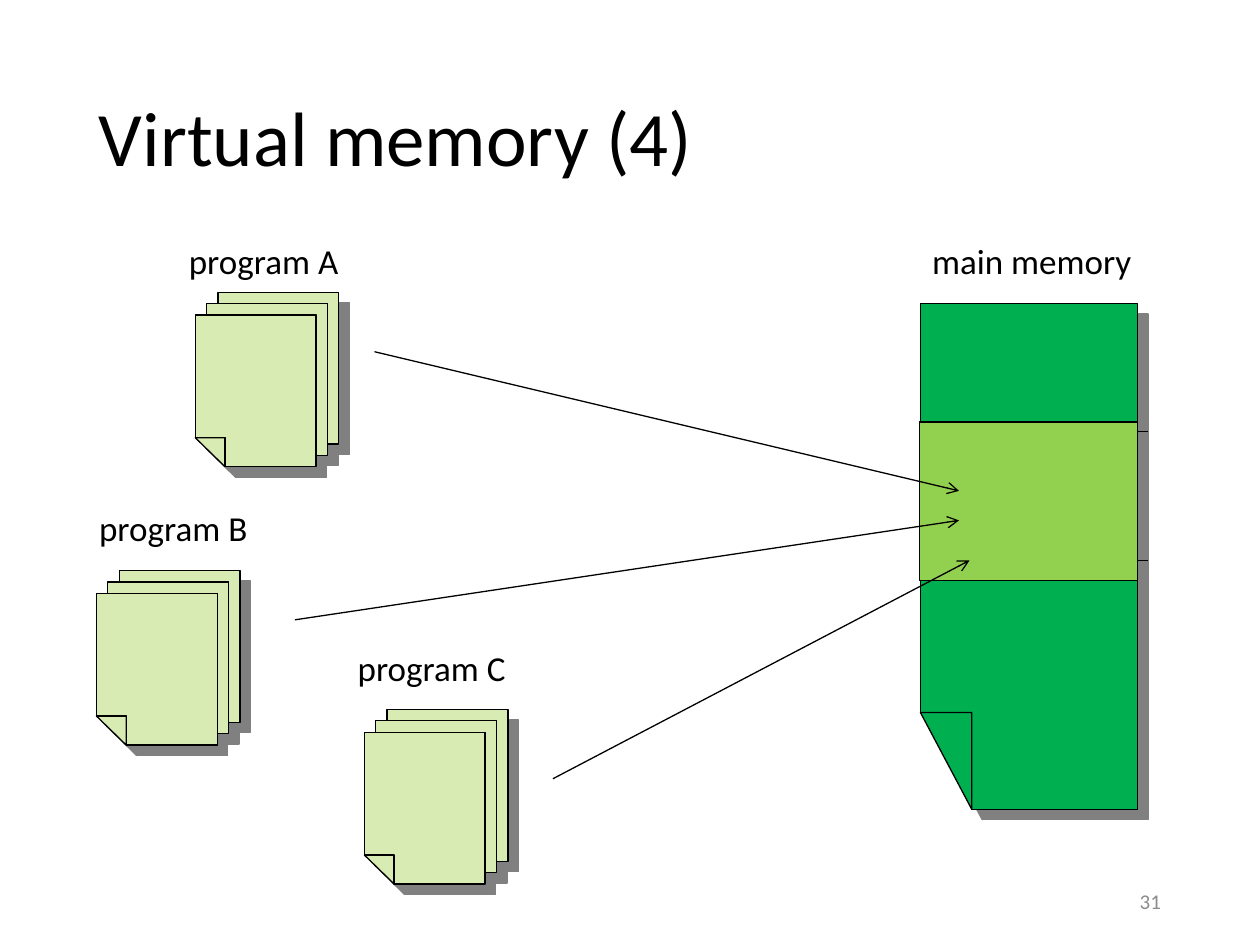
"""Build the slide on virtual memory shared by three programs."""
from lxml import etree
from pptx import Presentation
from pptx.dml.color import RGBColor
from pptx.enum import shapes, text
from pptx.oxml import ns
from pptx.util import Pt

BLACK = RGBColor(0, 0, 0)
GRAY = RGBColor(0x8C, 0x8C, 0x8C)
PAGE_GREEN = RGBColor(0xD8, 0xEB, 0xB3)
MEMORY_GREEN = RGBColor(0x00, 0xB0, 0x50)
SHARED_GREEN = RGBColor(0x92, 0xD0, 0x50)
SHADOW = "808080"
FONT = "Calibri"
SHADOW_DISTANCE = 8.5

TITLE = ("Virtual memory (4)", (49.5, 28.8, 621, 104.4))
PAGE_NUMBER = ("31", (508.5, 500.4, 162, 28.8))
LABELS = [
    ("program A", (100.8, 133.2, 107.3, 31.7)),
    ("program B", (49.5, 285.8, 108.7, 31.7)),
    ("program C", (197.3, 365.8, 109.4, 31.7)),
    ("main memory", (525.6, 133.2, 136.8, 31.7)),
]
STACKS = [(111.6, 167), (55.1, 326), (208.2, 405.4)]
MEMORY = (526, 173.4)
MEMORY_SIZE, MEMORY_FOLD = (124, 289), (29.3, 55.2)
SHEET_SIZE, SHEET_FOLD, SHEET_STEP = (69, 86.7), (17, 16.5), 6.5
SHARED_AREA = (525.6, 241.2, 124.6, 90.7)
DIVIDERS = [246.5, 320.3]
ARROWS = [
    ((214, 201), (548, 280.5)),
    ((168.5, 354.2), (548, 297.4)),
    ((316, 445), (554, 320.3)),
]


def folded_sheet(left, top, size, fold):
    """Return the outlines of a sheet and its folded lower left corner."""
    right, bottom = left + size[0], top + size[1]
    fold_right, fold_top = left + fold[0], bottom - fold[1]
    corner = [(left, fold_top), (fold_right, fold_top), (fold_right, bottom)]
    return [[(left, top), (right, top), (right, bottom)] + corner[::-1], corner]


def sheet_edge(left, top):
    """Return the visible edge of a sheet that lies behind another one."""
    (width, height), step = SHEET_SIZE, SHEET_STEP
    right, bottom = left + width, top + height
    return [(left, top), (right, top), (right, bottom), (right - step, bottom),
            (right - step, top + step), (left, top + step)]


def page_stack(left, top):
    """Return the outlines of three stacked sheets."""
    step = SHEET_STEP
    edges = [sheet_edge(left + 2 * step, top), sheet_edge(left + step, top + step)]
    return edges + folded_sheet(left, top + 2 * step, SHEET_SIZE, SHEET_FOLD)


def style_shape(shape, color):
    shape.fill.solid()
    shape.fill.fore_color.rgb = color
    style_line(shape)
    shape.shadow.inherit = False


def style_line(shape):
    shape.line.color.rgb = BLACK
    shape.line.width = Pt(0.75)


def add_outlines(slide, outlines, color):
    builder = None
    for outline in outlines:
        start, *others = [(Pt(x), Pt(y)) for x, y in outline]
        if builder is None:
            builder = slide.shapes.build_freeform(*start)
        else:
            builder.move_to(*start)
        builder.add_line_segments(others, close=True)
    shape = builder.convert_to_shape()
    style_shape(shape, color)
    effects = shape._element.spPr.find(ns.qn("a:effectLst"))
    shadow = etree.SubElement(effects, ns.qn("a:outerShdw"), blurRad="0",
                              dist=str(Pt(SHADOW_DISTANCE)), dir="2700000",
                              algn="ctr", rotWithShape="0")
    etree.SubElement(shadow, ns.qn("a:srgbClr"), val=SHADOW)


def add_line(slide, start, end, arrow=False):
    points = [Pt(value) for value in (*start, *end)]
    line = slide.shapes.add_connector(shapes.MSO_CONNECTOR.STRAIGHT, *points)
    style_line(line)
    properties = line._element.spPr
    if arrow:
        etree.SubElement(properties.find(ns.qn("a:ln")), ns.qn("a:tailEnd"), type="arrow")
    etree.SubElement(properties, ns.qn("a:effectLst"))


def add_text(slide, content, box, size, color=BLACK, wrap=True):
    frame = slide.shapes.add_textbox(*[Pt(value) for value in box]).text_frame
    frame.word_wrap = wrap
    frame.vertical_anchor = text.MSO_ANCHOR.MIDDLE if wrap else text.MSO_ANCHOR.TOP
    frame.auto_size = text.MSO_AUTO_SIZE.NONE if wrap else text.MSO_AUTO_SIZE.SHAPE_TO_FIT_TEXT
    paragraph = frame.paragraphs[0]
    paragraph.text = content
    paragraph.font.name = FONT
    paragraph.font.size = Pt(size)
    paragraph.font.color.rgb = color
    return paragraph


def main():
    presentation = Presentation()
    presentation.slide_width, presentation.slide_height = Pt(720), Pt(540)
    slide = presentation.slides.add_slide(presentation.slide_layouts[6])

    add_text(slide, *TITLE, 44).line_spacing = 0.9
    for position in STACKS:
        add_outlines(slide, page_stack(*position), PAGE_GREEN)
    add_outlines(slide, folded_sheet(*MEMORY, MEMORY_SIZE, MEMORY_FOLD), MEMORY_GREEN)
    for content, box in LABELS:
        add_text(slide, content, box, 20, wrap=False)
    for y in DIVIDERS:
        add_line(slide, (525.6, y), (656, y))
    shared = slide.shapes.add_shape(shapes.MSO_SHAPE.RECTANGLE,
                                    *[Pt(value) for value in SHARED_AREA])
    style_shape(shared, SHARED_GREEN)
    for start, end in ARROWS:
        add_line(slide, start, end, arrow=True)
    add_text(slide, *PAGE_NUMBER, 12, GRAY).alignment = text.PP_ALIGN.RIGHT

    presentation.save("out.pptx")


if __name__ == "__main__":
    main()
